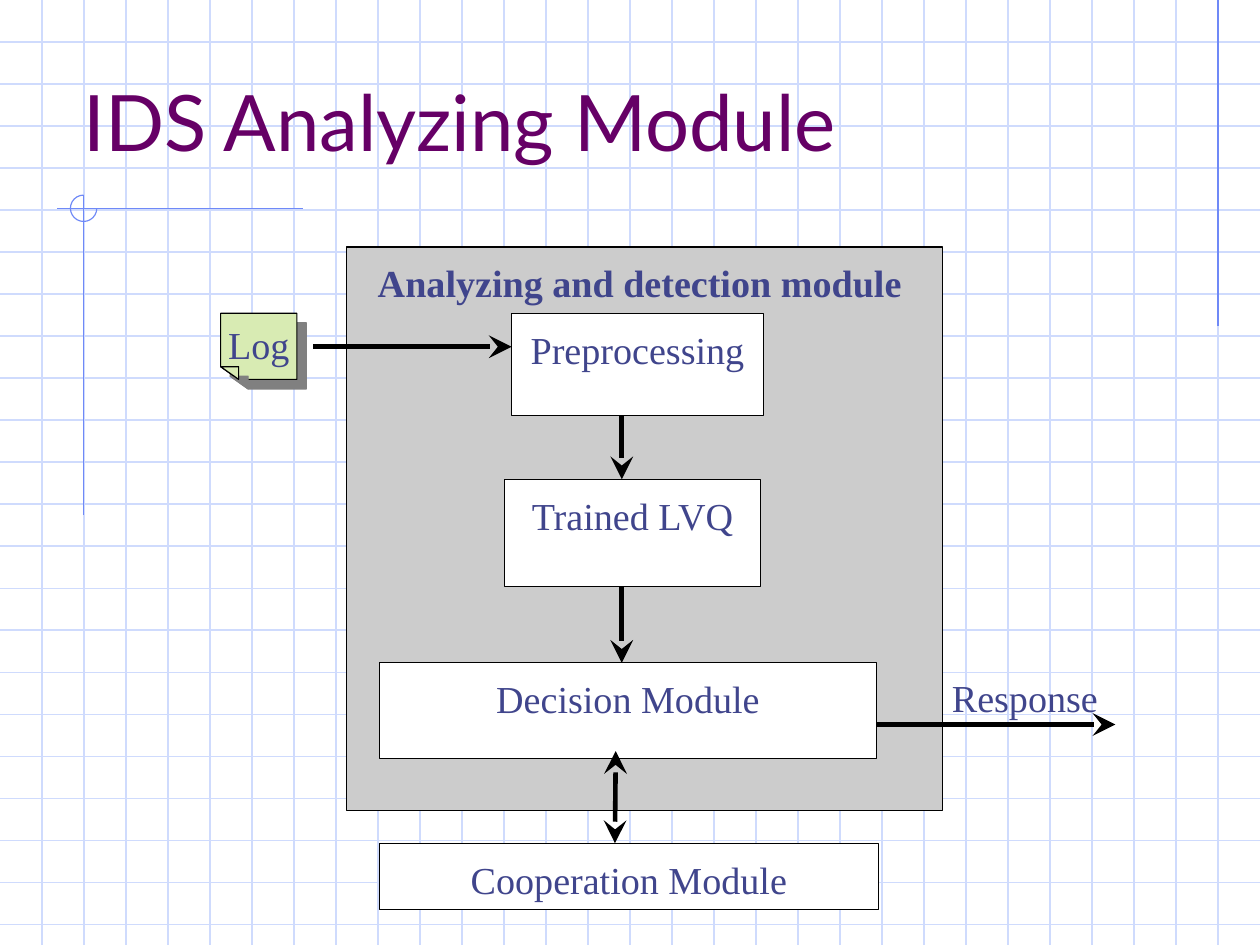
from lxml import etree
from pptx import Presentation
from pptx.dml.color import RGBColor
from pptx.enum.shapes import MSO_CONNECTOR, MSO_SHAPE
from pptx.enum.text import MSO_ANCHOR, PP_ALIGN
from pptx.oxml.ns import qn
from pptx.util import Pt

WIDTH, HEIGHT = 793.75, 595.25
GRID_STEP = 26.46
GRID_ROWS, GRID_COLUMNS = 22, 29

BLACK = RGBColor(0x00, 0x00, 0x00)
WHITE = RGBColor(0xFF, 0xFF, 0xFF)
GRID_BLUE = RGBColor(0xCF, 0xDB, 0xFD)
RULE_BLUE = RGBColor(0x6F, 0x89, 0xF7)
PANEL_GREY = RGBColor(0xCC, 0xCC, 0xCC)
NOTE_GREEN = RGBColor(0xD8, 0xEB, 0xB3)
TITLE_PURPLE = RGBColor(0x66, 0x00, 0x66)
TEXT_BLUE = RGBColor(0x40, 0x45, 0x8C)

THIN, THICK = 0.75, 2.89
SERIF = "Times New Roman"


def points(values):
    return [Pt(value) for value in values]


def add_line(slide, start, end, color, width=THIN):
    line = slide.shapes.add_connector(
        MSO_CONNECTOR.STRAIGHT, *points(start + end))
    line.line.color.rgb = color
    line.line.width = Pt(width)
    etree.SubElement(line._element.spPr, qn("a:effectLst"))
    return line


def add_arrow(slide, start, end, both_ways=False):
    arrow = add_line(slide, start, end, BLACK, THICK)
    outline = arrow.line._get_or_add_ln()
    for tag in ("a:headEnd", "a:tailEnd") if both_ways else ("a:tailEnd",):
        etree.SubElement(outline, qn(tag), type="stealth", w="lg", len="lg")


def write(shape, text, size=24, font=SERIF, color=TEXT_BLUE, bold=False,
          align=PP_ALIGN.CENTER, anchor=MSO_ANCHOR.TOP, spacing=1.16):
    frame = shape.text_frame
    frame.text = text
    frame.word_wrap = True
    frame.vertical_anchor = anchor
    paragraph = frame.paragraphs[0]
    paragraph.alignment = align
    paragraph.line_spacing = spacing
    run_font = paragraph.runs[0].font
    run_font.name = font
    run_font.size = Pt(size)
    run_font.bold = bold
    run_font.color.rgb = color


def add_label(slide, area, text, **style):
    label = slide.shapes.add_textbox(*points(area))
    frame = label.text_frame
    frame.margin_left = frame.margin_top = 0
    frame.margin_right = frame.margin_bottom = 0
    write(label, text, **style)


def paint(shape, fill):
    shape.shadow.inherit = False
    shape.fill.solid()
    shape.fill.fore_color.rgb = fill
    shape.line.color.rgb = BLACK
    shape.line.width = Pt(THIN)


def add_box(slide, area, fill=WHITE, text=None):
    box = slide.shapes.add_shape(MSO_SHAPE.RECTANGLE, *points(area))
    paint(box, fill)
    if text:
        write(box, text)


def add_paper(slide, corners):
    """Draw a green outline with a hard grey shadow to the lower right."""
    first, *others = [points(corner) for corner in corners]
    builder = slide.shapes.build_freeform(*first)
    builder.add_line_segments(others, close=True)
    paper = builder.convert_to_shape()
    paint(paper, NOTE_GREEN)
    effects = paper._element.spPr.find(qn("a:effectLst"))
    shadow = etree.SubElement(effects, qn("a:outerShdw"), blurRad="0",
                              dist=str(Pt(8.5)), dir="2700000", algn="tl",
                              rotWithShape="0")
    etree.SubElement(shadow, qn("a:srgbClr"), val="808080")


def add_backdrop(slide):
    for row in range(1, GRID_ROWS + 1):
        y = row * GRID_STEP
        add_line(slide, (0, y), (WIDTH, y), GRID_BLUE)
    for column in range(1, GRID_COLUMNS + 1):
        x = column * GRID_STEP
        add_line(slide, (x, 0), (x, HEIGHT), GRID_BLUE)

    add_line(slide, (767.3, 0), (767.3, 205.2), RULE_BLUE)
    add_line(slide, (190.8, 131.2), (36, 131.2), RULE_BLUE)
    add_line(slide, (52.7, 123.1), (52.7, 324.7), RULE_BLUE)

    ring = slide.shapes.add_shape(
        MSO_SHAPE.ARC, *points((44.4, 122.9, 16.6, 16.6)))
    ring.shadow.inherit = False
    # Three quarters of a turn, clockwise from the right
    ring.adjustments[0] = 0
    ring.adjustments[1] = 162
    ring.fill.background()
    ring.line.color.rgb = RULE_BLUE
    ring.line.width = Pt(THIN)


def add_log_note(slide):
    left, top, right, bottom = 139, 197.3, 187, 239
    fold_x, fold_y = 150.3, 231
    add_paper(slide, [(fold_x, bottom), (left, fold_y), (left, top),
                      (right, top), (right, bottom)])
    add_label(slide, (left, 203.8, right - left, 28.1), "Log",
              anchor=MSO_ANCHOR.MIDDLE, spacing=0.98)
    add_paper(slide, [(left, fold_y), (fold_x, fold_y), (fold_x, bottom)])


def main():
    presentation = Presentation()
    presentation.slide_width, presentation.slide_height = Pt(WIDTH), Pt(HEIGHT)
    slide = presentation.slides.add_slide(presentation.slide_layouts[6])

    add_backdrop(slide)
    add_label(slide, (52.7, 26.4, 674.6, 99.4), "IDS Analyzing Module",
              size=49, font="Lato", color=TITLE_PURPLE, align=PP_ALIGN.LEFT,
              anchor=MSO_ANCHOR.MIDDLE, spacing=1.0)

    add_box(slide, (218.1, 155.6, 375.6, 354.8), PANEL_GREY)
    add_box(slide, (322.3, 197.4, 158.6, 64.2), text="Preprocessing")
    add_box(slide, (317.9, 301.9, 161.1, 67.5), text="Trained LVQ")
    add_box(slide, (239, 417.5, 313.2, 60.5), text="Decision Module")
    add_box(slide, (239, 531.1, 314.4, 41.6), text="Cooperation Module")
    add_log_note(slide)

    add_arrow(slide, (197.3, 218.4), (322.3, 218.4))
    add_arrow(slide, (391.7, 261.6), (391.7, 301.9))
    add_arrow(slide, (391.7, 369.4), (391.7, 417.5))
    add_arrow(slide, (387.9, 473.1), (387.4, 531.1), both_ways=True)
    add_arrow(slide, (552.2, 456.4), (702.7, 456.4))

    add_label(slide, (599.7, 420.2, 103, 31), "Response",
              align=PP_ALIGN.LEFT)
    add_label(slide, (223, 158.8, 360, 30.2),
              "Analyzing and detection module", bold=True)

    presentation.save("out.pptx")


if __name__ == "__main__":
    main()
